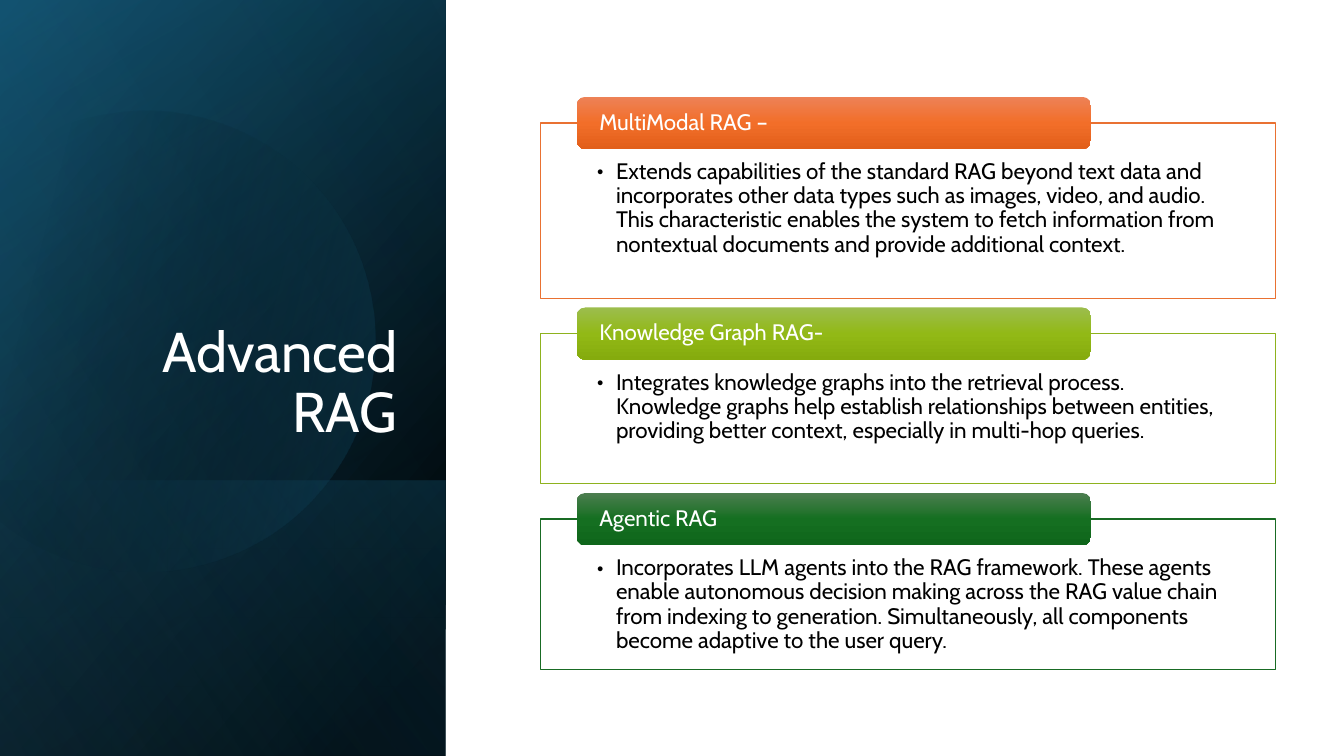
from dataclasses import dataclass
import math

from lxml import etree
from pptx import Presentation
from pptx.dml.color import RGBColor
from pptx.enum import shapes, text
from pptx.oxml import ns
from pptx.util import Inches, Pt


@dataclass(frozen=True)
class Theme:
    font: str = "Cabin"
    title_size: int = 40
    body_size: int = 16
    white: str = "FFFFFF"
    black: str = "000000"
    navy: str = "104862"
    blue: str = "156082"
    sky: str = "46B1E1"


THEME = Theme()
PANEL_WIDTH, SLIDE_HEIGHT = 4.42, 7.5
BOX_LEFT, BOX_WIDTH = 5.36, 7.29
HEADER_LEFT, HEADER_WIDTH, HEADER_HEIGHT, HEADER_RISE = 5.72, 5.1, 0.52, 0.26

# Top, height, line colour, header gradient, heading, explanation
SECTIONS = [
    (1.22, 1.74, "E97132", ("ED8257", "F26E29", "E25F1A"), "MultiModal RAG –",
     "Extends capabilities of the standard RAG beyond text data and incorporates "
     "other data types such as images, video, and audio. This characteristic enables "
     "the system to fetch information from nontextual documents and provide "
     "additional context."),
    (3.31, 1.49, "8EB21E", ("9CBD4E", "92B916", "85AB0D"), "Knowledge Graph RAG-",
     "Integrates knowledge graphs into the retrieval process. Knowledge graphs help "
     "establish relationships between entities, providing better context, especially "
     "in multi-hop queries."),
    (5.15, 1.49, "196B24", ("4D7E50", "156F21", "0F661B"), "Agentic RAG",
     "Incorporates LLM agents into the RAG framework. These agents enable autonomous "
     "decision making across the RAG value chain from indexing to generation. "
     "Simultaneously, all components become adaptive to the user query."),
]

# Slide positions of the disc's outline, after its rotation
DISC_OUTLINE = [
    ("moveTo", (1.49, 1.1)),
    ("cubicBezTo", (2.46, 1.12), (3.35, 1.77), (3.63, 2.75)),
    ("cubicBezTo", (3.98, 3.97), (3.28, 5.23), (2.07, 5.58)),
    ("cubicBezTo", (1.31, 5.8), (0.53, 5.61), (-0.03, 5.14)),
    ("lnTo", (-0.15, 5.03)),
    ("lnTo", (-0.15, 1.75)),
    ("lnTo", (0, 1.61)),
    ("cubicBezTo", (0.23, 1.42), (0.5, 1.28), (0.8, 1.19)),
    ("cubicBezTo", (1.03, 1.13), (1.26, 1.1), (1.49, 1.1)),
]
DISC_LEFT, DISC_TOP, DISC_WIDTH, DISC_HEIGHT = -0.55, 1.06, 4.27, 4.57
DISC_ROTATION = 343.9


def set_values(target, values):
    for name, value in values.items():
        setattr(target, name, value)


def set_gradient(shape, stops, angle):
    """Fill with (position, colour, opacity) stops, all in percent."""
    shape.fill.background()
    properties = shape.element.spPr
    gradient = etree.Element(ns.qn("a:gradFill"), rotWithShape="1")
    stop_list = etree.SubElement(gradient, ns.qn("a:gsLst"))
    for position, color, opacity in stops:
        stop = etree.SubElement(stop_list, ns.qn("a:gs"), pos=str(position * 1000))
        tint = etree.SubElement(stop, ns.qn("a:srgbClr"), val=color)
        if opacity < 100:
            etree.SubElement(tint, ns.qn("a:alpha"), val=str(opacity * 1000))
    etree.SubElement(gradient, ns.qn("a:lin"), ang=str(angle * 60000), scaled="0")
    properties.replace(properties.find(ns.qn("a:noFill")), gradient)


def add_box(slide, kind, left, top, width, height):
    shape = slide.shapes.add_shape(
        kind, Inches(left), Inches(top), Inches(width), Inches(height))
    shape.shadow.inherit = False
    shape.line.fill.background()
    return shape


def write_text(shape, words, size, color, frame_format, align, bullet=False):
    frame = shape.text_frame
    set_values(frame, {"word_wrap": True, **frame_format})
    paragraph = frame.paragraphs[0]
    paragraph.text = words
    set_values(paragraph, {"alignment": align, "line_spacing": 0.9})
    if bullet:
        properties = paragraph._p.get_or_add_pPr()
        indent = Inches(0.19)
        properties.set("marL", str(indent))
        properties.set("indent", str(-indent))
        etree.SubElement(properties, ns.qn("a:buFont"), typeface=THEME.font)
        etree.SubElement(properties, ns.qn("a:buChar"), char="•")
    font = paragraph.runs[0].font
    set_values(font, {"name": THEME.font, "size": Pt(size)})
    font.color.rgb = RGBColor.from_string(color)


def add_panel_layer(slide, top, height, stops, angle):
    """Add a layer of the left panel, turned a quarter and mirrored."""
    left = (PANEL_WIDTH - height) / 2
    layer = add_box(slide, shapes.MSO_SHAPE.RECTANGLE,
                    left, top + (height - PANEL_WIDTH) / 2, height, PANEL_WIDTH)
    layer.rotation = 90
    layer.element.spPr.xfrm.set("flipH", "1")
    set_gradient(layer, stops, angle)


def turn_back(point):
    """Give a slide position's place in the disc's box before its rotation."""
    angle = math.radians(-DISC_ROTATION)
    middle_x, middle_y = DISC_WIDTH / 2, DISC_HEIGHT / 2
    x = point[0] - DISC_LEFT - middle_x
    y = point[1] - DISC_TOP - middle_y
    return (Inches(middle_x + x * math.cos(angle) - y * math.sin(angle)),
            Inches(middle_y + x * math.sin(angle) + y * math.cos(angle)))


def add_disc(slide):
    """Draw the disc upright with true curves, then rotate it with its gradient."""
    outline = [(command, [turn_back(point) for point in points])
               for command, *points in DISC_OUTLINE]
    ends = [points[-1] for _, points in outline]
    builder = slide.shapes.build_freeform(*ends[0])
    builder.add_line_segments(ends[1:], close=True)
    disc = builder.convert_to_shape()
    set_values(disc, {"left": Inches(DISC_LEFT), "top": Inches(DISC_TOP),
                      "width": Inches(DISC_WIDTH), "height": Inches(DISC_HEIGHT),
                      "rotation": DISC_ROTATION})
    curve = next(disc.element.iter(ns.qn("a:path")))
    for step in list(curve):
        curve.remove(step)
    curve.set("w", str(disc.width))
    curve.set("h", str(disc.height))
    for command, points in outline:
        step = etree.SubElement(curve, ns.qn(f"a:{command}"))
        for x, y in points:
            etree.SubElement(step, ns.qn("a:pt"), x=str(int(x)), y=str(int(y)))
    etree.SubElement(curve, ns.qn("a:close"))
    disc.shadow.inherit = False
    disc.line.fill.background()
    set_gradient(disc, [(29, THEME.black, 0), (100, THEME.blue, 43)], 30)


def add_title(slide, words):
    title = slide.shapes.add_textbox(
        Inches(0.63), Inches(1.84), Inches(3.41), Inches(2.62))
    write_text(title, words, THEME.title_size, THEME.white,
               {"vertical_anchor": text.MSO_ANCHOR.BOTTOM}, text.PP_ALIGN.RIGHT)


def add_section(slide, top, height, line_color, header_colors, heading, explanation):
    body = add_box(slide, shapes.MSO_SHAPE.RECTANGLE, BOX_LEFT, top, BOX_WIDTH, height)
    body.fill.solid()
    body.fill.fore_color.rgb = RGBColor.from_string(THEME.white)
    body.line.color.rgb = RGBColor.from_string(line_color)
    body.line.width = Pt(1)
    write_text(body, explanation, THEME.body_size, THEME.black,
               {"vertical_anchor": text.MSO_ANCHOR.TOP,
                "margin_left": Inches(0.56), "margin_right": Inches(0.55),
                "margin_top": Inches(0.37), "margin_bottom": Inches(0.12)},
               text.PP_ALIGN.LEFT, bullet=True)

    header = add_box(slide, shapes.MSO_SHAPE.ROUNDED_RECTANGLE, HEADER_LEFT,
                     top - HEADER_RISE, HEADER_WIDTH, HEADER_HEIGHT)
    set_gradient(header, [(50 * index, color, 100)
                          for index, color in enumerate(header_colors)], 90)
    write_text(header, heading, THEME.body_size, THEME.white,
               {"vertical_anchor": text.MSO_ANCHOR.MIDDLE,
                "margin_left": Inches(0.2), "margin_right": Inches(0.2),
                "margin_top": 0, "margin_bottom": 0}, text.PP_ALIGN.LEFT)


def main():
    presentation = Presentation()
    set_values(presentation, {"slide_width": Inches(13.33),
                              "slide_height": Inches(SLIDE_HEIGHT)})
    slide = presentation.slides.add_slide(presentation.slide_layouts[6])
    black, blue = THEME.black, THEME.blue
    add_panel_layer(slide, 0, SLIDE_HEIGHT, [(8, black, 100), (100, THEME.navy, 100)], 50)
    add_panel_layer(slide, 0, SLIDE_HEIGHT, [(0, black, 0), (99, blue, 46)], 30)
    add_panel_layer(slide, 4.77, 2.73, [(2, blue, 29), (100, black, 30)], 130)
    add_disc(slide)
    add_panel_layer(slide, 0, SLIDE_HEIGHT, [(0, black, 0), (99, THEME.sky, 11)], 120)
    add_title(slide, "Advanced RAG")
    for section in SECTIONS:
        add_section(slide, *section)
    presentation.save("out.pptx")


if __name__ == "__main__":
    main()
